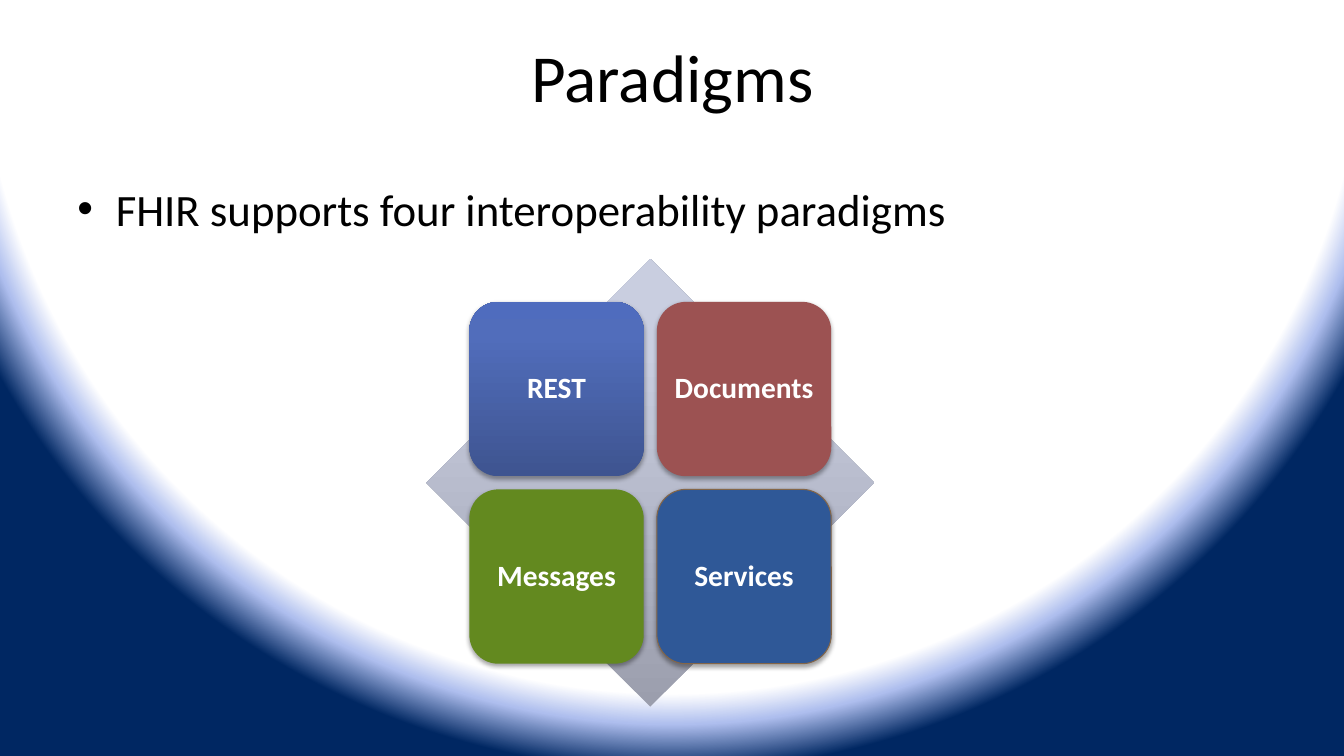
from dataclasses import dataclass
from typing import Any, Optional

from lxml.etree import SubElement
from pptx import Presentation
from pptx.dml.color import RGBColor
from pptx.enum.shapes import MSO_SHAPE
from pptx.enum.text import MSO_ANCHOR, PP_ALIGN
from pptx.oxml import parse_xml
from pptx.oxml.ns import nsdecls, qn
from pptx.util import Inches, Pt

COLORS = {
    "black": "000000",
    "white": "FFFFFF",
    "haze": "AEBEEE",
    "navy": "002762",
    "red": "9C5252",
    "green": "63891F",
    "blue": "2F5897",
    "brown": "846648",
}
BACKDROP_STOPS = [(90, COLORS["white"]), (94, COLORS["haze"]), (100, COLORS["navy"])]
DIAMOND_STOPS = [(0, "9B9EAD"), (80, "C9CEE0"), (100, "CACEE2")]
REST_STOPS = [(0, "3E5490"), (80, "516DBB"), (100, "4F6CBE")]
UPWARD = '<a:lin ang="16200000" scaled="0"/>'
FROM_ABOVE = (
    '<a:path path="circle">'
    '<a:fillToRect l="50000" t="-80000" r="50000" b="180000"/></a:path>'
)

CENTER_X, CENTER_Y = 6.45, 4.79
DIAMOND_SIZE = 4.44
TILE_SIZE = 1.73
TILE_GAP = 0.13


@dataclass(frozen=True)
class Tile:
    label: str
    column: int
    row: int
    color: Optional[str] = None
    outline: Optional[str] = None


TILES = [
    Tile("REST", 0, 0),
    Tile("Documents", 1, 0, color="red"),
    Tile("Messages", 0, 1, color="green"),
    Tile("Services", 1, 1, color="blue", outline="brown"),
]


def set_gradient(properties: Any, stops: list[tuple[int, str]], direction: str) -> None:
    stop_xml = "".join(
        f'<a:gs pos="{position * 1000}"><a:srgbClr val="{color}"/></a:gs>'
        for position, color in stops
    )
    gradient = parse_xml(
        f'<a:gradFill {nsdecls("a")} rotWithShape="1">'
        f"<a:gsLst>{stop_xml}</a:gsLst>{direction}</a:gradFill>"
    )
    properties.replace(properties.find(qn("a:solidFill")), gradient)


def add_shadow(shape: Any) -> None:
    effects = shape._element.spPr.find(qn("a:effectLst"))
    shadow = SubElement(
        effects, qn("a:outerShdw"), blurRad="40000", dist="23000",
        dir="5400000", rotWithShape="0",
    )
    color = SubElement(shadow, qn("a:srgbClr"), val=COLORS["black"])
    SubElement(color, qn("a:alpha"), val="35000")


def add_bullet(para: Any) -> None:
    properties = para._p.get_or_add_pPr()
    properties.set("marL", str(Inches(0.38)))
    properties.set("indent", str(Inches(-0.38)))
    spacing = SubElement(properties, qn("a:spcBef"))
    SubElement(spacing, qn("a:spcPct"), val="20000")
    SubElement(properties, qn("a:buFont"), typeface="Arial")
    SubElement(properties, qn("a:buChar"), char="•")


def write_text(
    box: Any,
    text: str,
    *,
    size: float,
    color: str = "black",
    bold: bool = False,
    align: PP_ALIGN = PP_ALIGN.CENTER,
    anchor: MSO_ANCHOR = MSO_ANCHOR.MIDDLE,
) -> Any:
    frame = box.text_frame
    frame.word_wrap = True
    frame.vertical_anchor = anchor
    para = frame.paragraphs[0]
    para.alignment = align
    span = para.add_run()
    span.text = text
    span.font.name = "Calibri"
    span.font.size = Pt(size)
    span.font.bold = bold
    span.font.color.rgb = RGBColor.from_string(COLORS[color])
    return para


def add_square(
    shapes: Any, kind: MSO_SHAPE, left: float, top: float, size: float, color: str
) -> Any:
    shape = shapes.add_shape(kind, Inches(left), Inches(top), Inches(size), Inches(size))
    shape.shadow.inherit = False
    shape.fill.solid()
    shape.fill.fore_color.rgb = RGBColor.from_string(COLORS[color])
    shape.line.fill.background()
    return shape


def add_tile(shapes: Any, tile: Tile) -> None:
    pitch = TILE_SIZE + TILE_GAP
    left = CENTER_X - TILE_GAP / 2 - TILE_SIZE + tile.column * pitch
    top = CENTER_Y - TILE_GAP / 2 - TILE_SIZE + tile.row * pitch
    shape = add_square(
        shapes, MSO_SHAPE.ROUNDED_RECTANGLE, left, top, TILE_SIZE, tile.color or "blue"
    )
    if tile.color is None:
        set_gradient(shape._element.spPr, REST_STOPS, UPWARD)
    if tile.outline:
        shape.line.color.rgb = RGBColor.from_string(COLORS[tile.outline])
        shape.line.width = Pt(0.75)
    add_shadow(shape)
    shape.text_frame.margin_left = shape.text_frame.margin_right = Inches(0.05)
    para = write_text(shape, tile.label, size=21, color="white", bold=True)
    para.line_spacing = 0.9


def main() -> None:
    deck = Presentation()
    deck.slide_width, deck.slide_height = Inches(13.33), Inches(7.5)
    page = deck.slides.add_slide(deck.slide_layouts[6])
    page.background.fill.solid()
    set_gradient(page._element.find(".//" + qn("p:bgPr")), BACKDROP_STOPS, FROM_ABOVE)

    title = page.shapes.add_textbox(Inches(0.67), Inches(0.25), Inches(12), Inches(1))
    write_text(title, "Paradigms", size=48)
    body = page.shapes.add_textbox(Inches(0.67), Inches(1.75), Inches(12), Inches(4.95))
    para = write_text(
        body, "FHIR supports four interoperability paradigms",
        size=32, align=PP_ALIGN.LEFT, anchor=MSO_ANCHOR.TOP,
    )
    add_bullet(para)

    matrix = page.shapes.add_group_shape().shapes
    diamond = add_square(
        matrix, MSO_SHAPE.DIAMOND, CENTER_X - DIAMOND_SIZE / 2,
        CENTER_Y - DIAMOND_SIZE / 2, DIAMOND_SIZE, "haze",
    )
    set_gradient(diamond._element.spPr, DIAMOND_STOPS, UPWARD)
    for tile in TILES:
        add_tile(matrix, tile)

    deck.save("out.pptx")


if __name__ == "__main__":
    main()
